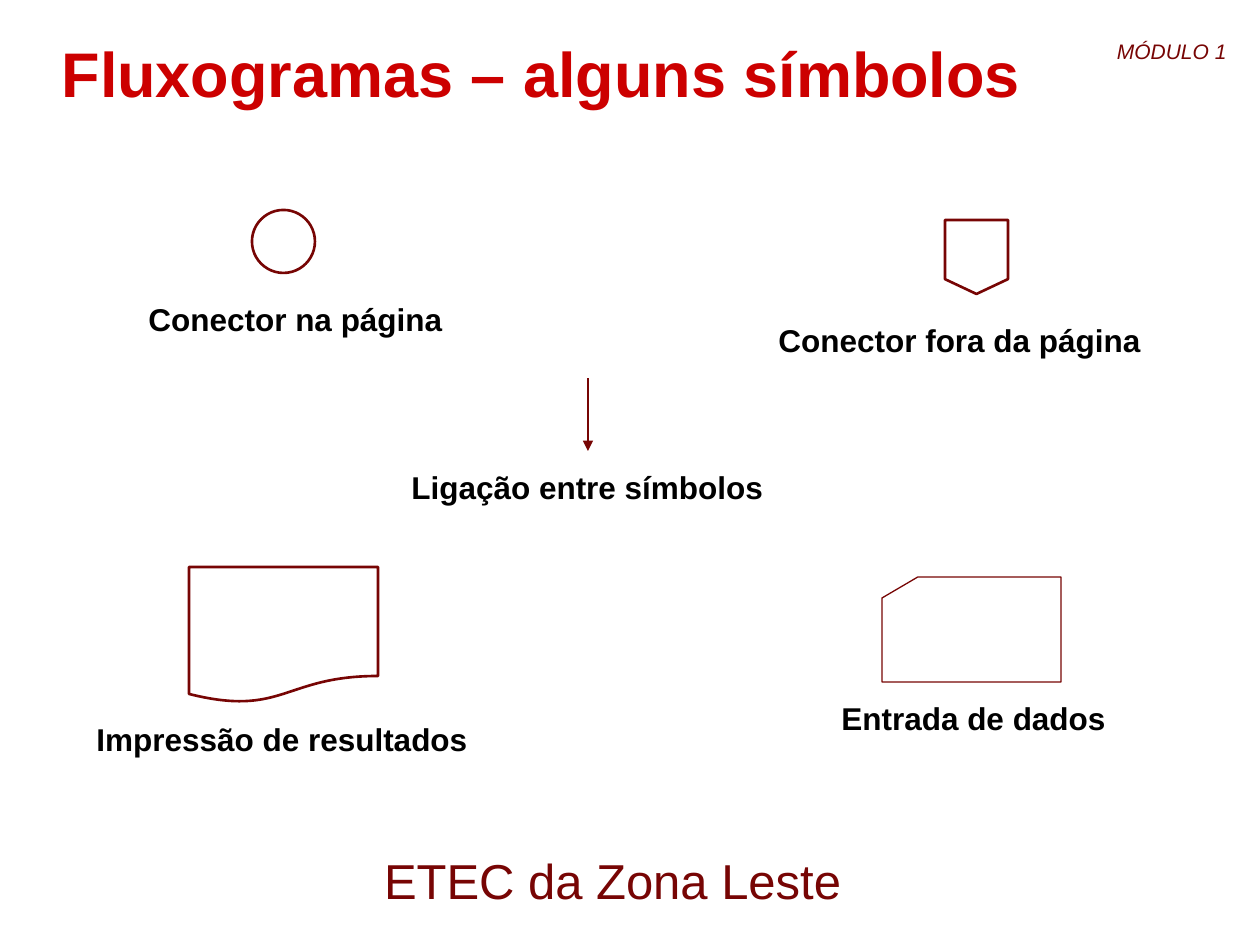
from dataclasses import dataclass

from lxml.etree import SubElement
from pptx import Presentation
from pptx.dml.color import RGBColor
from pptx.enum.shapes import MSO_CONNECTOR, MSO_SHAPE
from pptx.enum.text import MSO_ANCHOR, PP_ALIGN
from pptx.oxml.ns import qn
from pptx.util import Emu, Pt

EMU_PER_PIXEL = 914400 / 126


@dataclass(frozen=True)
class Theme:
    """Colours, type sizes and line widths of the slide."""
    font: str = "Arial"
    wine: str = "770504"
    red: str = "CC0000"
    black: str = "000000"
    title: int = 36
    footer: int = 28
    label: int = 18
    module: int = 12
    outline: float = 1.5
    thin: float = 0.74


def px(length):
    """Turn picture pixels into EMU."""
    return Emu(round(length * EMU_PER_PIXEL))


def write(shape, text, *, size, color, font, bold=False, italic=False,
          align=PP_ALIGN.LEFT, anchor=MSO_ANCHOR.TOP):
    """Put formatted text into a shape."""
    frame = shape.text_frame
    frame.word_wrap = True
    frame.vertical_anchor = anchor
    frame.text = text
    paragraph = frame.paragraphs[0]
    paragraph.alignment = align
    style = paragraph.runs[0].font
    style.name, style.size = font, Pt(size)
    style.bold, style.italic = bold, italic
    style.color.rgb = RGBColor.from_string(color)


class SlideBuilder:
    """Holds the theme and the current slide."""

    def __init__(self, slide, theme):
        """Keep the slide and its style."""
        self.slide, self.theme = slide, theme

    def title(self, text, box):
        """Place and fill the title placeholder."""
        heading = self.slide.shapes.title
        heading.left, heading.top, heading.width, heading.height = map(px, box)
        write(heading, text, size=self.theme.title, color=self.theme.red,
              font=self.theme.font, bold=True, anchor=MSO_ANCHOR.BOTTOM)

    def text(self, text, box, **style):
        """Add a text box."""
        write(self.slide.shapes.add_textbox(*map(px, box)), text,
              font=self.theme.font, **style)

    def label(self, text, left, top, width):
        """Add the bold name of a symbol."""
        self.text(text, (left, top, width, 50), size=self.theme.label,
                  color=self.theme.black, bold=True)

    def symbol(self, kind, box, weight):
        """Add an outlined flowchart symbol."""
        symbol = self.slide.shapes.add_shape(kind, *map(px, box))
        symbol.shadow.inherit = False
        symbol.fill.background()
        self.outline(symbol, weight)

    def arrow(self, start, end):
        """Add a straight arrow."""
        arrow = self.slide.shapes.add_connector(
            MSO_CONNECTOR.STRAIGHT, *map(px, start + end))
        self.outline(arrow, self.theme.outline)
        SubElement(arrow.line._get_or_add_ln(), qn("a:tailEnd"), type="triangle")
        SubElement(arrow._element.spPr, qn("a:effectLst"))

    def outline(self, shape, weight):
        """Draw a shape's line in the theme colour."""
        shape.line.color.rgb = RGBColor.from_string(self.theme.wine)
        shape.line.width = Pt(weight)


def main():
    """Build and save the slide."""
    deck = Presentation()
    deck.slide_width, deck.slide_height = px(1260), px(945)
    theme = Theme()
    page = SlideBuilder(deck.slides.add_slide(deck.slide_layouts[5]), theme)

    page.text("MÓDULO 1", (1090, 32, 149, 68), size=theme.module,
              color=theme.wine, italic=True, align=PP_ALIGN.RIGHT)
    page.text("ETEC da Zona Leste", (333, 844, 559, 142), size=theme.footer,
              color=theme.wine, align=PP_ALIGN.CENTER)
    page.title("Fluxogramas – alguns símbolos", (49, 9, 990, 107))

    symbols = [
        (MSO_SHAPE.FLOWCHART_CONNECTOR, (252, 210, 63, 63), theme.outline,
         "Conector na página", (136, 294, 347)),
        (MSO_SHAPE.FLOWCHART_OFFPAGE_CONNECTOR, (945, 220, 63, 74), theme.outline,
         "Conector fora da página", (766, 315, 462)),
        (MSO_SHAPE.FLOWCHART_DOCUMENT, (189, 567, 189, 136), theme.outline,
         "Impressão de resultados", (84, 714, 462)),
        (MSO_SHAPE.FLOWCHART_CARD, (882, 577, 179, 105), theme.thin,
         "Entrada de dados", (829, 693, 315)),
    ]
    for kind, box, weight, name, place in symbols:
        page.symbol(kind, box, weight)
        page.label(name, *place)

    page.arrow((588, 378), (588, 451))
    page.label("Ligação entre símbolos", 399, 462, 462)
    deck.save("out.pptx")


main()
